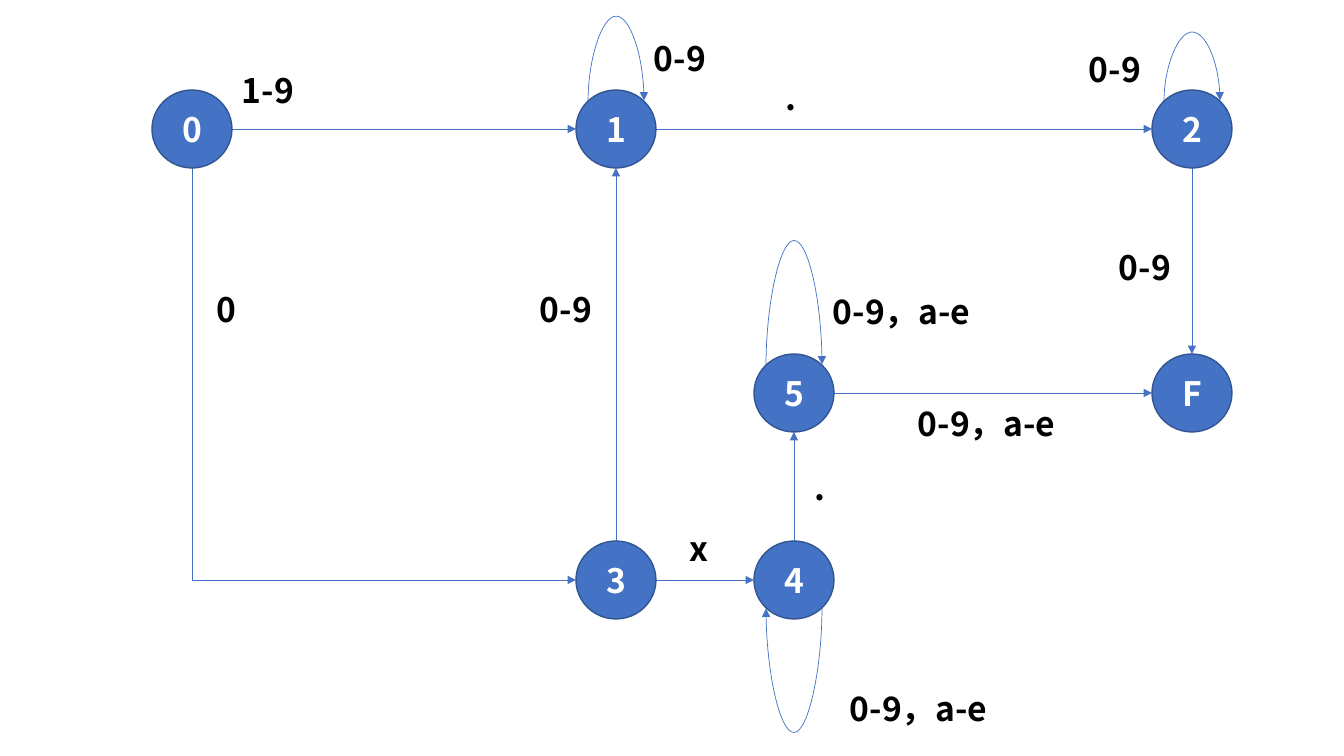
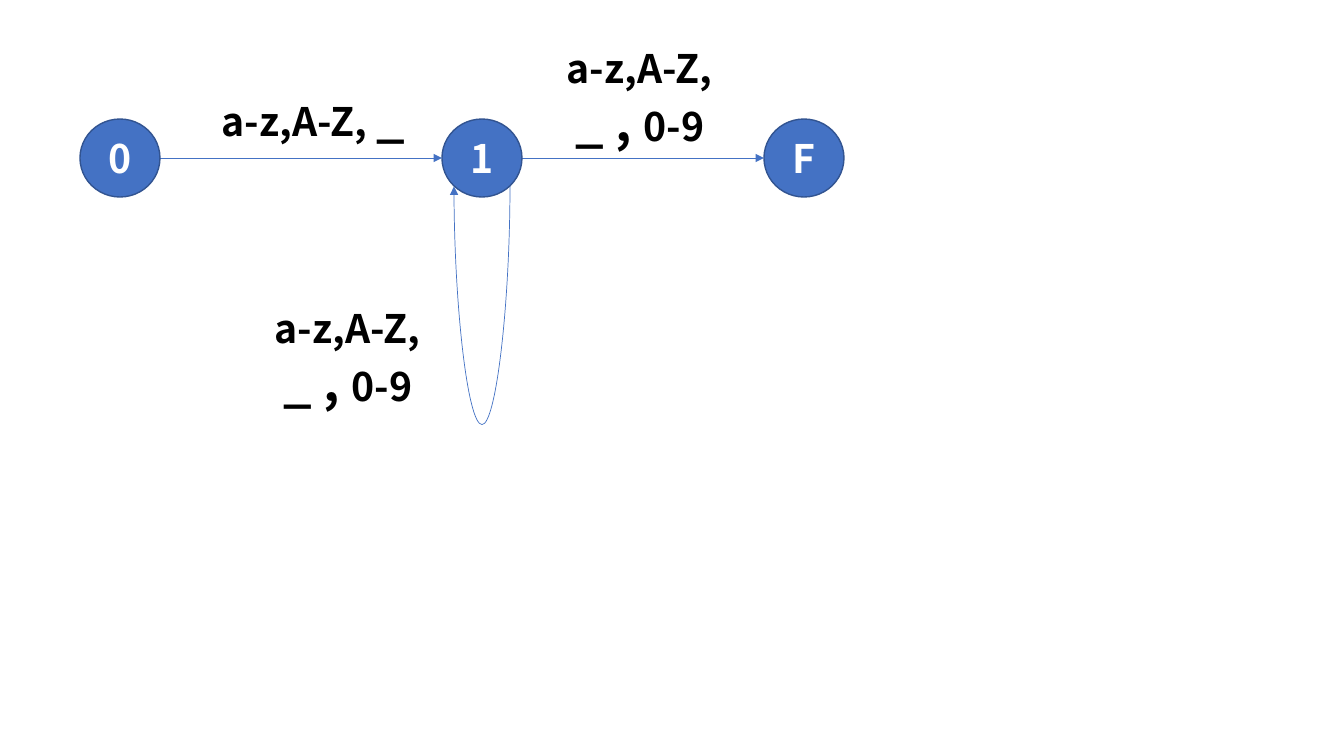
import pptx
import pptx.dml.color
import pptx.enum.shapes
import pptx.enum.text
import pptx.oxml.ns
import pptx.util
from lxml import etree

PX = 914400 / 100.8
NODE_W, NODE_H = 80, 78
LOOP_X, LOOP_Y = 28, 28
FONT = "Noto Sans CJK SC"
BLUE, OUTLINE, WHITE, BLACK = "4472C4", "325491", "FFFFFF", "000000"
SHAPE = pptx.enum.shapes.MSO_SHAPE
LINK = pptx.enum.shapes.MSO_CONNECTOR
qn = pptx.oxml.ns.qn


def px(n):
    """Turn pixels into EMU."""
    return pptx.util.Emu(round(n * PX))


def color(hex_text):
    """Turn a hex string into a colour."""
    return pptx.dml.color.RGBColor.from_string(hex_text)


def add_run(p, text, size, hex_text):
    """Add a bold run in the shared font."""
    r = p.add_run()
    r.text = text
    values = {"name": FONT, "size": pptx.util.Pt(size), "bold": True}
    for name, value in values.items():
        setattr(r.font, name, value)
    r.font.color.rgb = color(hex_text)
    etree.SubElement(r.font._element, qn("a:ea"), typeface=FONT)


def add_state(slide, center, name, size):
    """Draw a state as a circle around its centre."""
    x, y = center
    sp = slide.shapes.add_shape(SHAPE.OVAL, px(x - NODE_W / 2), px(y - NODE_H / 2),
                                px(NODE_W), px(NODE_H))
    sp.shadow.inherit = False
    sp.fill.solid()
    sp.fill.fore_color.rgb = color(BLUE)
    sp.line.color.rgb = color(OUTLINE)
    sp.line.width = pptx.util.Pt(1)
    tf = sp.text_frame
    tf.word_wrap = True
    tf.vertical_anchor = pptx.enum.text.MSO_ANCHOR.MIDDLE
    p = tf.paragraphs[0]
    p.alignment = pptx.enum.text.PP_ALIGN.CENTER
    add_run(p, name, size, WHITE)


def add_label(slide, x, y, w, h, lines):
    """Write lines of (text, size) runs in a growing box."""
    tf = slide.shapes.add_textbox(px(x), px(y), px(w), px(h)).text_frame
    tf.word_wrap = True
    tf.auto_size = pptx.enum.text.MSO_AUTO_SIZE.SHAPE_TO_FIT_TEXT
    for i, runs in enumerate(lines):
        p = tf.add_paragraph() if i else tf.paragraphs[0]
        for text, size in runs:
            add_run(p, text, size, BLACK)


def add_link(slide, kind, x1, y1, x2, y2):
    """Draw a thin connector with an arrowhead at its end."""
    c = slide.shapes.add_connector(kind, px(x1), px(y1), px(x2), px(y2))
    c.line.color.rgb = color(BLUE)
    c.line.width = pptx.util.Pt(0.5)
    etree.SubElement(c.line._ln, qn("a:tailEnd"), type="triangle")
    etree.SubElement(c.element.spPr, qn("a:effectLst"))
    return c


def add_turned_link(slide, kind, center, w, h, turn, preset, flips):
    """Draw a connector of unturned size w by h, turned about its centre."""
    x, y = center
    c = add_link(slide, kind, x - w / 2, y - h / 2, x + w / 2, y + h / 2)
    xfrm = c.element.spPr.find(qn("a:xfrm"))
    xfrm.set("rot", str(turn * 60000))
    for flip in flips:
        xfrm.set(flip, "1")
    geom = c.element.spPr.find(qn("a:prstGeom"))
    geom.set("prst", preset)
    return geom


def add_arrow(slide, start, end):
    """Join the facing edges of two states in one row or column."""
    (x1, y1), (x2, y2) = start, end
    dx = ((x2 > x1) - (x2 < x1)) * NODE_W / 2
    dy = ((y2 > y1) - (y2 < y1)) * NODE_H / 2
    add_link(slide, LINK.STRAIGHT, x1 + dx, y1 + dy, x2 - dx, y2 - dy)


def add_corner(slide, start, end):
    """Go down from one state, then right to another."""
    x1, y1 = start[0], start[1] + NODE_H / 2
    x2, y2 = end[0] - NODE_W / 2, end[1]
    add_turned_link(slide, LINK.ELBOW, ((x1 + x2) / 2, (y1 + y2) / 2),
                    y2 - y1, x2 - x1, 270, "bentConnector2", ["flipH"])


def add_loop(slide, center, depth, above):
    """Draw a state's arrow to itself; its 1 px box makes adj the depth."""
    x, y = center
    y += -LOOP_Y if above else LOOP_Y
    geom = add_turned_link(slide, LINK.CURVE, (x, y), 1, 2 * LOOP_X, 90,
                           "curvedConnector3", ["flipH", "flipV"] if above else [])
    guides = geom.find(qn("a:avLst"))
    if guides is None:
        guides = etree.SubElement(geom, qn("a:avLst"))
    etree.SubElement(guides, qn("a:gd"), name="adj1", fmla=f"val {depth * 100000}")


def add_automaton(prs, states, size, arrows, loops, labels, corners=()):
    """Build one slide with a state diagram."""
    slide = prs.slides.add_slide(prs.slide_layouts[6])
    for start, end in arrows:
        add_arrow(slide, states[start], states[end])
    for start, end in corners:
        add_corner(slide, states[start], states[end])
    for name, depth, above in loops:
        add_loop(slide, states[name], depth, above)
    for name, center in states.items():
        add_state(slide, center, name, size)
    for label in labels:
        add_label(slide, *label)


def number_automaton(prs):
    """Slide 1: states that read numbers."""
    left, mid, inner, right = 192, 616, 794, 1192
    top, center, bottom = 129, 393, 580
    states = {"0": (left, top), "1": (mid, top), "2": (right, top),
              "3": (mid, bottom), "4": (inner, bottom),
              "5": (inner, center), "F": (right, center)}
    digits, hexes = "0-9", "0-9，a-e"
    texts = [("1-9", 232, 65, 147), ("0", 207, 284, 125), ("x", 680, 523, 57),
             (digits, 644, 33, 115), (digits, 530, 284, 115),
             (digits, 1079, 44, 115), (digits, 1109, 242, 115),
             (hexes, 823, 286, 191), (hexes, 840, 683, 191), (hexes, 908, 398, 191),
             (".", 805, 462, 57), (".", 776, 72, 57)]
    add_automaton(prs, states, 24, ["01", "12", "31", "34", "45", "5F", "2F"],
                  [("1", 86, True), ("2", 70, True), ("5", 126, True), ("4", 126, False)],
                  [(x, y, w, 50, [[(text, 24)]]) for text, x, y, w in texts],
                  corners=["03"])


def identifier_automaton(prs):
    """Slide 2: states that read identifiers."""
    row = 158
    states = {"0": (120, row), "1": (482, row), "F": (804, row)}
    first = [[("a-z,A-Z, ", 28), ("_", 36)]]
    rest = [[("a-z,A-Z,", 28)], [(" ", 28), ("_ , ", 36), ("0-9", 28)]]
    add_automaton(prs, states, 28, ["01", "1F"], [("1", 241, False)],
                  [(212, 81, 220, 72, first), (265, 299, 177, 119, rest),
                   (557, 39, 177, 119, rest)])


def main():
    """Build and save both slides."""
    prs = pptx.Presentation()
    prs.slide_width, prs.slide_height = px(1344), px(756)
    number_automaton(prs)
    identifier_automaton(prs)
    prs.save("out.pptx")


main()
